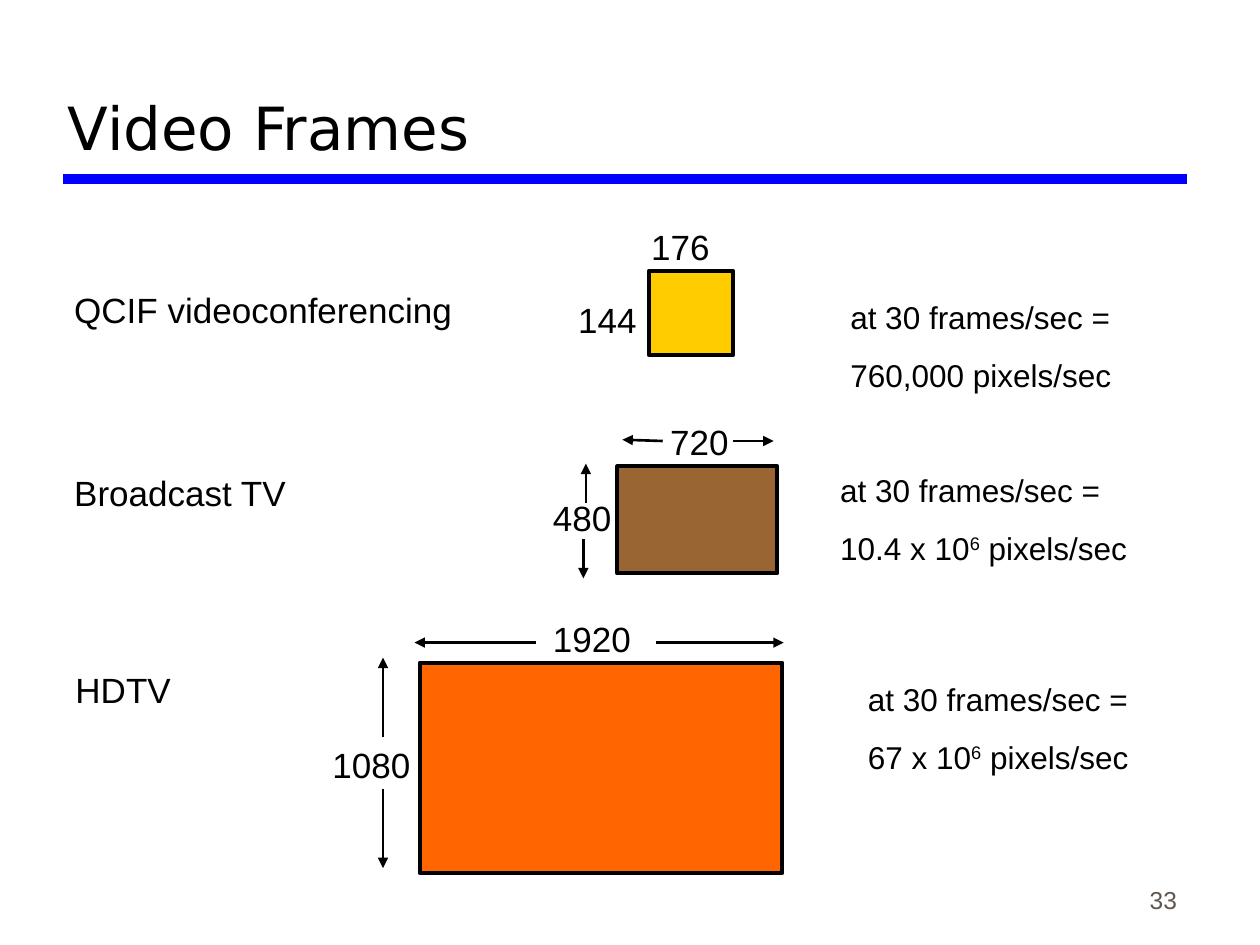
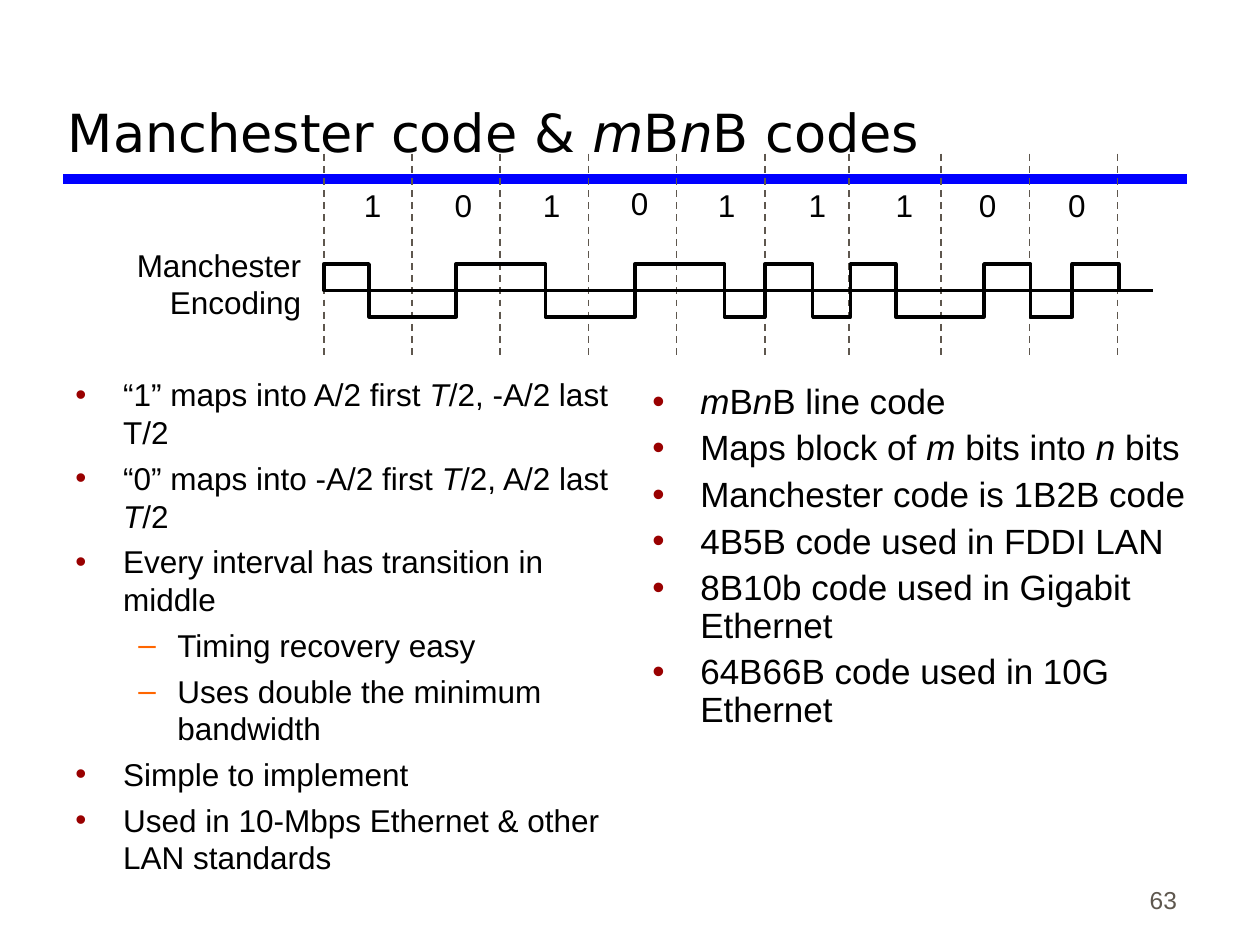
from itertools import cycle, pairwise

from lxml import etree
from pptx import Presentation
from pptx.dml.color import RGBColor
from pptx.enum.dml import MSO_LINE_DASH_STYLE as Dash
from pptx.enum.shapes import MSO_CONNECTOR as Connector, MSO_SHAPE as Shape
from pptx.enum.text import MSO_ANCHOR as Anchor, PP_ALIGN as Align
from pptx.oxml.ns import qn
from pptx.util import Inches, Pt

BLACK = RGBColor(0x00, 0x00, 0x00)
BLUE = RGBColor(0x00, 0x00, 0xFF)
GRAY = RGBColor(0x5E, 0x57, 0x4E)
YELLOW = RGBColor(0xFF, 0xCC, 0x00)
BROWN = RGBColor(0x99, 0x66, 0x33)
ORANGE = RGBColor(0xFF, 0x66, 0x00)
DARK_RED = RGBColor(0x99, 0x00, 0x00)
TITLE_FONT, BODY_FONT = "DejaVu Sans", "Arial"

BULLETS = [("•", DARK_RED, 0.38, 0.38), ("–", ORANGE, 0.81, 0.31)]

FRAMES = [
    {
        "name": ("QCIF videoconferencing", 0.49, 2.24),
        "rate": ("760,000 pixels/sec", 6.65, 2.32),
        "box": (5.15, 2.15, 0.67, 0.67),
        "color": YELLOW,
        "sizes": [("176", 5.07, 1.74), ("144", 4.49, 2.32)],
        "arrows": [],
    },
    {
        "name": ("Broadcast TV", 0.49, 3.69),
        "rate": ("10.4 x 10^6^ pixels/sec", 6.57, 3.69),
        "box": (4.9, 3.7, 1.27, 0.85),
        "color": BROWN,
        "sizes": [("720", 5.22, 3.29), ("480", 4.29, 3.89)],
        "arrows": [
            (5.26, 3.5, 4.94, 3.49),
            (5.82, 3.5, 6.14, 3.5),
            (4.65, 3.99, 4.65, 3.68),
            (4.63, 4.28, 4.63, 4.59),
        ],
    },
    {
        "name": ("HDTV", 0.5, 5.26),
        "rate": ("67 x 10^6^ pixels/sec", 6.79, 5.35),
        "box": (3.33, 5.26, 2.88, 1.67),
        "color": ORANGE,
        "sizes": [("1920", 4.29, 4.85), ("1080", 2.54, 5.85)],
        "arrows": [
            (4.25, 5.1, 3.29, 5.1),
            (5.21, 5.1, 6.22, 5.1),
            (3.04, 5.85, 3.04, 5.22),
            (3.04, 6.26, 3.04, 6.89),
        ],
    },
]

BIT_EDGES = [2.57, 3.27, 3.97, 4.67, 5.37, 6.07, 6.74, 7.47, 8.17, 8.87]
BITS = [
    ("1", 2.79, 1.43), ("0", 3.51, 1.43), ("1", 4.21, 1.43),
    ("0", 4.91, 1.41), ("1", 5.6, 1.43), ("1", 6.32, 1.43),
    ("1", 7.01, 1.43), ("0", 7.67, 1.43), ("0", 8.38, 1.43),
]
PULSE_EDGES = [2.57, 2.93, 3.62, 4.33, 5.04, 5.75, 6.07,
               6.45, 6.75, 7.11, 7.81, 8.18, 8.51, 8.88]
PULSE_HEIGHT, BASELINE = 0.21, 2.305

MANCHESTER_POINTS = [
    (0, "“1” maps into A/2 first *T*/2, -A/2 last T/2"),
    (0, "“0” maps into -A/2 first *T*/2, A/2 last *T*/2"),
    (0, "Every interval has transition in middle"),
    (1, "Timing recovery easy"),
    (1, "Uses double the minimum bandwidth"),
    (0, "Simple to implement"),
    (0, "Used in 10-Mbps Ethernet & other LAN standards"),
]
BLOCK_CODE_POINTS = [
    (0, "*m*B*n*B line code"),
    (0, "Maps block of *m* bits into *n* bits"),
    (0, "Manchester code is 1B2B code"),
    (0, "4B5B code used in FDDI LAN"),
    (0, "8B10b code used in Gigabit Ethernet"),
    (0, "64B66B code used in 10G Ethernet"),
]


def add_runs(paragraph, text):
    """Add text whose *starred* parts are italic and ^caret^ parts raised."""
    for i, part in enumerate(text.split("*")):
        for j, piece in enumerate(part.split("^")):
            if not piece:
                continue
            run = paragraph.add_run()
            run.text = piece
            if i % 2:
                run.font.italic = True
            if j % 2:
                run._r.get_or_add_rPr().set("baseline", "30000")


def style_font(paragraph, size, color=BLACK, name=BODY_FONT):
    """Set the font of a whole paragraph."""
    font = paragraph.font
    font.name, font.size, font.color.rgb = name, Pt(size), color


def add_text_frame(slide, left, top, width, height, anchor=Anchor.TOP):
    """Add a wrapping text box and return its text frame."""
    box = slide.shapes.add_textbox(*map(Inches, (left, top, width, height)))
    frame = box.text_frame
    frame.word_wrap = True
    frame.vertical_anchor = anchor
    return frame


def add_text(slide, lines, area, size, color=BLACK, name=BODY_FONT,
             align=Align.LEFT, anchor=Anchor.TOP, gap=0):
    """Add a text box with one paragraph per line."""
    frame = add_text_frame(slide, *area, anchor)
    for index, line in enumerate(lines):
        paragraph = frame.add_paragraph() if index else frame.paragraphs[0]
        paragraph.alignment = align
        if index:
            paragraph.space_before = Pt(gap)
        add_runs(paragraph, line)
        style_font(paragraph, size, color, name)


def add_bullet(paragraph, level):
    """Give a paragraph the bullet and indent of its level."""
    mark, color, margin, hanging = BULLETS[level]
    paragraph.level = level
    properties = paragraph._p.get_or_add_pPr()
    properties.set("marL", str(Inches(margin)))
    properties.set("indent", str(-Inches(hanging)))
    bullet_color = etree.SubElement(properties, qn("a:buClr"))
    etree.SubElement(bullet_color, qn("a:srgbClr"), val=str(color))
    etree.SubElement(properties, qn("a:buFont"), typeface=BODY_FONT)
    etree.SubElement(properties, qn("a:buChar"), char=mark)


def add_bullet_list(slide, points, left, top, size, gap, spacing):
    """Add a column of bulleted paragraphs."""
    frame = add_text_frame(slide, left, top, 4.47, 4.62)
    for index, (level, text) in enumerate(points):
        paragraph = frame.add_paragraph() if index else frame.paragraphs[0]
        add_bullet(paragraph, level)
        paragraph.line_spacing = spacing
        if index:
            paragraph.space_before = Pt(gap)
        add_runs(paragraph, text)
        style_font(paragraph, size)


def add_line(slide, points, color, width, dash=None, arrow=False):
    """Add a straight line, optionally dashed or with an arrowhead."""
    connector = slide.shapes.add_connector(Connector.STRAIGHT, *map(Inches, points))
    line = connector.line
    line.color.rgb, line.width = color, Pt(width)
    if dash:
        line.dash_style = dash
    if arrow:
        etree.SubElement(line._get_or_add_ln(), qn("a:tailEnd"), type="triangle")
    etree.SubElement(connector._element.spPr, qn("a:effectLst"))


def add_rectangle(slide, area, width, color=None):
    """Add a black-edged rectangle, hollow unless a colour is given."""
    shape = slide.shapes.add_shape(Shape.RECTANGLE, *map(Inches, area))
    shape.shadow.inherit = False
    shape.line.color.rgb, shape.line.width = BLACK, Pt(width)
    if color is None:
        shape.fill.background()
    else:
        shape.fill.solid()
        shape.fill.fore_color.rgb = color


def add_slide(presentation, title, title_size, number):
    """Add a slide with the title, blue rule and page number."""
    slide = presentation.slides.add_slide(presentation.slide_layouts[6])
    add_line(slide, (0.5, 1.42, 9.42, 1.42), BLUE, 6)
    add_text(slide, [number], (7.36, 6.81, 2.08, 0.5), 14, GRAY,
             align=Align.RIGHT, anchor=Anchor.BOTTOM)
    add_text(slide, [title], (0.44, 0.17, 8.97, 1.17), title_size,
             name=TITLE_FONT, anchor=Anchor.BOTTOM)
    return slide


def add_video_frame(slide, frame):
    """Add one video format: name, scaled frame, dimensions and pixel rate."""
    name, left, top = frame["name"]
    add_text(slide, [name], (left, top, 3.75, 0.44), 20)
    rate, left, top = frame["rate"]
    add_text(slide, ["at 30 frames/sec =", rate], (left, top, 2.67, 0.86), 18, gap=11.2)
    add_rectangle(slide, frame["box"], 2.25, frame["color"])
    for size, left, top in frame["sizes"]:
        add_text(slide, [size], (left, top, 0.96, 0.44), 20)
    for points in frame["arrows"]:
        add_line(slide, points, BLACK, 1.5, arrow=True)


def add_waveform(slide):
    """Add the bit cells and the Manchester signal, which alternates high and low."""
    for x in BIT_EDGES:
        add_line(slide, (x, 1.22, x, 2.83), GRAY, 1, dash=Dash.DASH)
    for bit, left, top in BITS:
        add_text(slide, [bit], (left, top, 0.34, 0.4), 18)
    add_line(slide, (2.57, BASELINE, 9.15, BASELINE), BLACK, 2)
    tops = cycle([BASELINE - PULSE_HEIGHT, BASELINE])
    for (start, end), top in zip(pairwise(PULSE_EDGES), tops):
        add_rectangle(slide, (start, top, end - start, PULSE_HEIGHT), 2)
    add_text(slide, ["Manchester Encoding"], (0.66, 1.9, 1.83, 0.7), 18,
             align=Align.RIGHT)


def main():
    """Build and save the two slides."""
    presentation = Presentation()
    presentation.slide_width, presentation.slide_height = Inches(10), Inches(7.5)

    video = add_slide(presentation, "Video Frames", 34, "33")
    for frame in FRAMES:
        add_video_frame(video, frame)

    coding = add_slide(presentation, "Manchester code & *m*B*n*B codes", 30, "63")
    add_bullet_list(coding, MANCHESTER_POINTS, 0.5, 2.93, 18, 4.5, 1.0)
    add_bullet_list(coding, BLOCK_CODE_POINTS, 5.08, 3, 20, 5, 0.9)
    add_waveform(coding)

    presentation.save("out.pptx")


if __name__ == "__main__":
    main()
